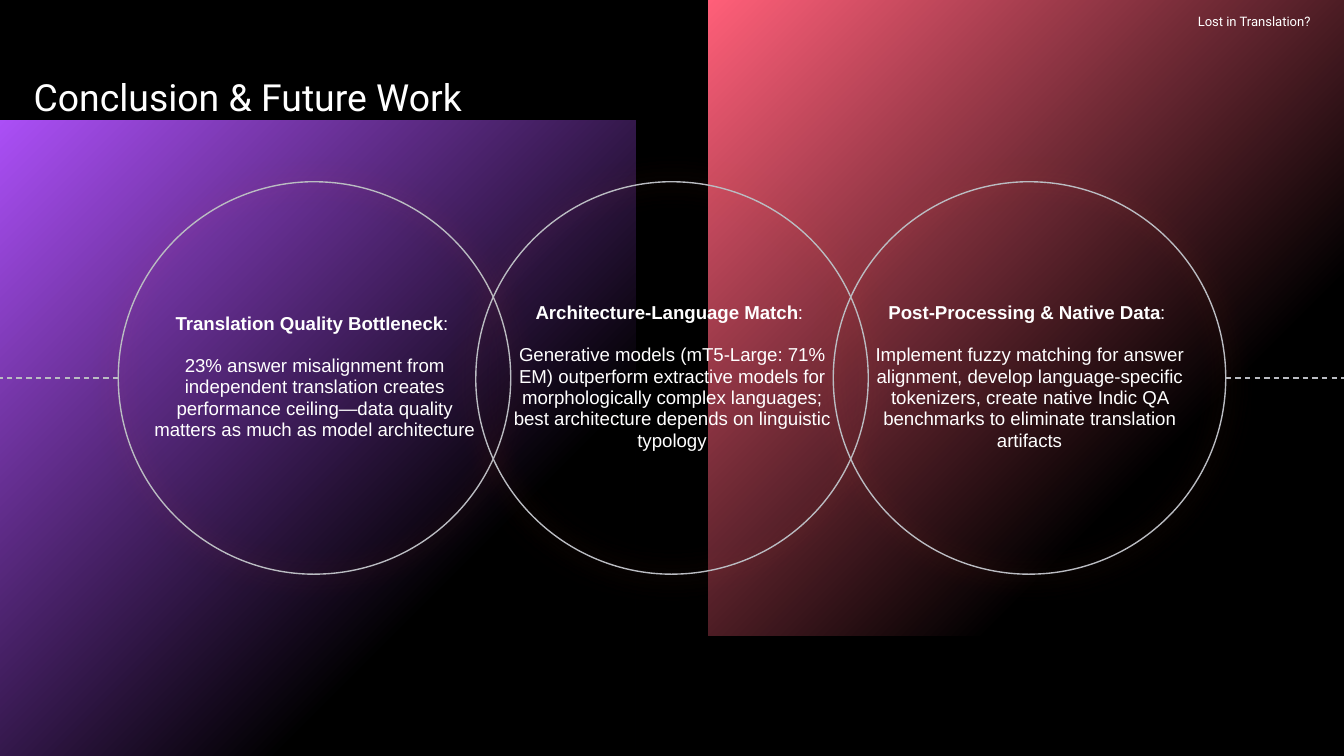
from lxml.etree import SubElement
from pptx import Presentation
from pptx.dml.color import RGBColor
from pptx.enum.dml import MSO_LINE
from pptx.enum.shapes import MSO_CONNECTOR, MSO_SHAPE
from pptx.enum.text import MSO_ANCHOR, PP_ALIGN
from pptx.oxml import parse_xml
from pptx.oxml.ns import nsdecls, qn
from pptx.util import Inches, Pt

BLACK = RGBColor(0x00, 0x00, 0x00)
WHITE = RGBColor(0xFF, 0xFF, 0xFF)
GRAY = RGBColor(0xBA, 0xBC, 0xC2)
PURPLE = RGBColor(0xAB, 0x4F, 0xF6)
PINK = RGBColor(0xFF, 0x5F, 0x79)
ORANGE = RGBColor(0xFF, 0x62, 0x34)

GLOW = f"""<a:effectLst {nsdecls("a")}>
<a:outerShdw blurRad="{Pt(13.5)}" dist="0" dir="0" algn="bl" rotWithShape="0">
<a:srgbClr val="{ORANGE}"><a:alpha val="50000"/></a:srgbClr>
</a:outerShdw></a:effectLst>"""

WIDTH = 10
HEIGHT = WIDTH * 9 / 16
MIDDLE = HEIGHT / 2

deck = Presentation()
deck.slide_width = Inches(WIDTH)
deck.slide_height = Inches(HEIGHT)
page = deck.slides.add_slide(deck.slide_layouts[6])
page.background.fill.solid()
page.background.fill.fore_color.rgb = BLACK


def add_text(place, paragraphs, font_format, para_format, anchor):
    box = page.shapes.add_textbox(*map(Inches, place))
    frame = box.text_frame
    frame_format = {"word_wrap": True, "vertical_anchor": anchor, "margin_left": 0,
                    "margin_top": 0, "margin_right": 0, "margin_bottom": 0}
    for name, value in frame_format.items():
        setattr(frame, name, value)
    for index, spans in enumerate(paragraphs):
        para = frame.add_paragraph() if index else frame.paragraphs[0]
        for name, value in para_format.items():
            setattr(para, name, value)
        for words, bold in spans:
            span = para.add_run()
            span.text = words
            for name, value in font_format.items():
                setattr(span.font, name, value)
            span.font.bold = bold
            span.font.color.rgb = WHITE
    return frame


PANEL = 4.73
for left, top, color in [(0, HEIGHT - PANEL, PURPLE), (WIDTH - PANEL, 0, PINK)]:
    panel = page.shapes.add_shape(
        MSO_SHAPE.RECTANGLE, Inches(left), Inches(top), Inches(PANEL), Inches(PANEL))
    panel.shadow.inherit = False
    panel.line.fill.background()
    panel.fill.gradient()
    panel.fill.gradient_angle = 315
    for stop, position, shade in zip(panel.fill.gradient_stops, (0, 0.72), (color, BLACK)):
        stop.position = position
        stop.color.rgb = shade

DIAMETER, STEP, FIRST = 2.92, 2.66, 0.88
circles = []
for index in range(3):
    circle = page.shapes.add_shape(
        MSO_SHAPE.ROUNDED_RECTANGLE, Inches(FIRST + index * STEP),
        Inches(MIDDLE - DIAMETER / 2), Inches(DIAMETER), Inches(DIAMETER))
    circle.adjustments[0] = 0.5
    circle.fill.background()
    circle.line.color.rgb = GRAY
    circle.line.width = Pt(0.75)
    circle._element.spPr.append(parse_xml(GLOW))
    circles.append(circle)

for circle, side, start, end in [(circles[0], 1, FIRST, 0),
                                 (circles[2], 3, WIDTH - FIRST, WIDTH)]:
    dash = page.shapes.add_connector(
        MSO_CONNECTOR.STRAIGHT, Inches(start), Inches(MIDDLE), Inches(end), Inches(MIDDLE))
    dash.begin_connect(circle, side)
    dash.line.color.rgb = GRAY
    dash.line.width = Pt(0.75)
    dash.line.dash_style = MSO_LINE.DASH
    SubElement(dash._element.spPr, qn("a:effectLst"))

add_text((0.25, 0.5, 4.55, 0.51), [[("Conclusion & Future Work", False)]],
         {"name": "Roboto", "size": Pt(20)}, {"line_spacing": 1.15}, MSO_ANCHOR.TOP)
add_text((7.02, 0.06, 2.73, 0.19), [[("Lost in Translation?", False)]],
         {"name": "Roboto", "size": Pt(7)}, {"alignment": PP_ALIGN.RIGHT}, MSO_ANCHOR.MIDDLE)

conclusions = [
    ("Translation Quality Bottleneck",
     "23% answer misalignment from independent translation creates performance "
     "ceiling—data quality matters as much as model architecture"),
    ("Architecture-Language Match",
     "Generative models (mT5-Large: 71% EM) outperform extractive models for "
     "morphologically complex languages; best architecture depends on linguistic typology"),
    ("Post-Processing & Native Data",
     "Implement fuzzy matching for answer alignment, develop language-specific "
     "tokenizers, create native Indic QA benchmarks to eliminate translation artifacts"),
]
for index, (heading, body) in enumerate(conclusions):
    frame = add_text((1.12 + index * STEP, 2.07, 2.44, 1.47),
                     [[(heading, True), (": ", False)], [(body, False)]],
                     {"name": "Arial", "size": Pt(10)},
                     {"alignment": PP_ALIGN.CENTER, "line_spacing": 0.95}, MSO_ANCHOR.MIDDLE)
    frame.paragraphs[0].space_after = Pt(11.4)

deck.save("out.pptx")
